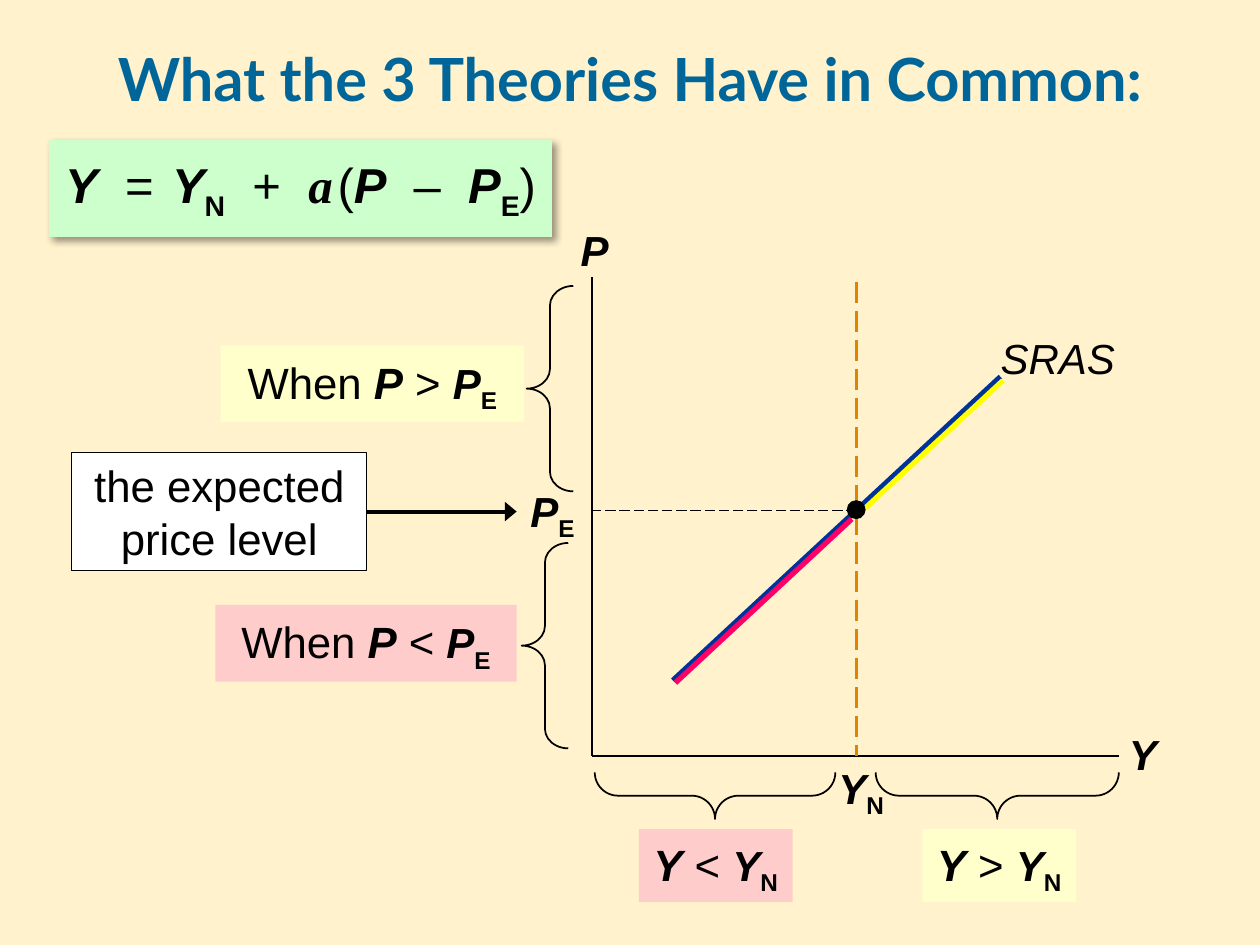
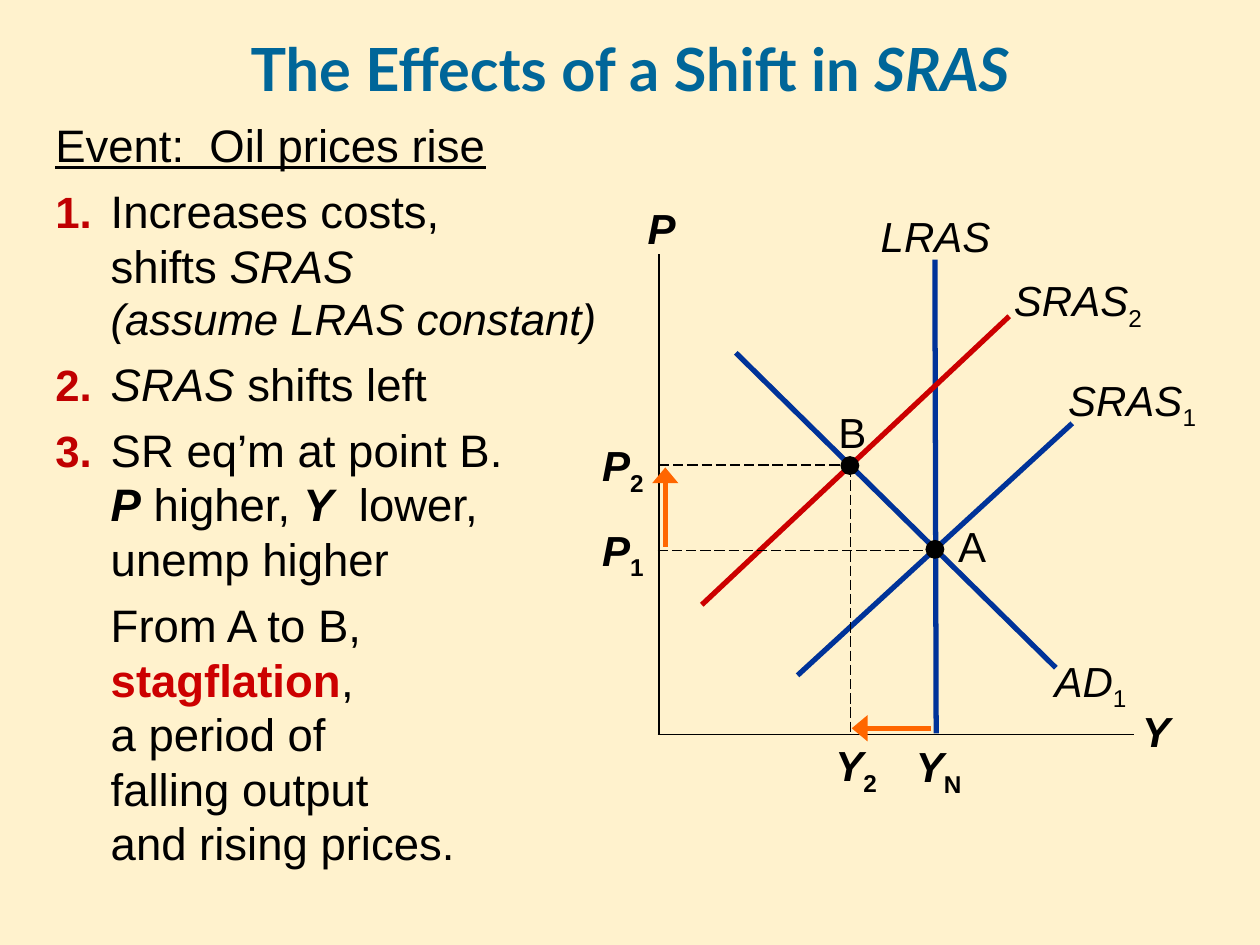
import lxml.etree
import pptx
import pptx.dml.color
import pptx.enum.dml
import pptx.enum.shapes
import pptx.enum.text
import pptx.oxml.ns
import pptx.util

COLORS = {
    "paper": "FFF2CD", "title": "006699", "ink": "000000", "white": "FFFFFF",
    "curve": "003399", "shifted": "CC0000", "number": "C00000", "natural": "DE8400",
    "above": "FFFFCC", "below": "FFCCCC", "above_line": "FFFF00", "below_line": "FF0066",
    "formula": "CCFFCC", "change": "FF6600",
}
STYLES = {
    "plain": {},
    "italic": {"italic": True},
    "aside": {"italic": True, "size": pptx.util.Pt(25)},
    "var": {"bold": True, "italic": True},
    "ref": {"bold": True, "italic": True, "size": pptx.util.Pt(24)},
    "sub": {"bold": True},
    "refsub": {"bold": True, "size": pptx.util.Pt(24)},
    "index": {},
    "wide": {},
    "narrow": {},
    "thin": {"size": pptx.util.Pt(10)},
    "slope": {"bold": True, "italic": True, "name": "Times New Roman"},
    "event": {"underline": True},
    "number": {"bold": True, "size": pptx.util.Pt(25)},
    "key": {"bold": True},
    "title": {"bold": True, "name": "Lato"},
    "title_italic": {"bold": True, "italic": True, "name": "Lato"},
}
STYLE_COLORS = {"number": "number", "key": "shifted", "title": "title", "title_italic": "title"}
RUN_ATTRIBUTES = {
    "sub": ("baseline", "-25000"), "refsub": ("baseline", "-25000"),
    "index": ("baseline", "-25000"), "wide": ("spc", "780"), "narrow": ("spc", "280"),
}
SHAPES = pptx.enum.shapes.MSO_SHAPE
ANCHOR = pptx.enum.text.MSO_ANCHOR
CENTER = pptx.enum.text.PP_ALIGN.CENTER

deck = pptx.Presentation()
deck.slide_width = pptx.util.Inches(10)
deck.slide_height = pptx.util.Inches(7.5)
CELL = deck.slide_width / 100


def grid(*cells):
    return [round(cell * CELL) for cell in cells]


def write(paragraph, runs, size, spacing=1.0):
    paragraph.line_spacing = spacing
    for text, style in runs:
        for row, part in enumerate(text.split("\n")):
            if row:
                paragraph.add_line_break()
            if not part:
                continue
            run = paragraph.add_run()
            run.text = part
            formats = {"name": "Arial", "size": pptx.util.Pt(size), "bold": False, "italic": False}
            for name, value in {**formats, **STYLES[style]}.items():
                setattr(run.font, name, value)
            color = COLORS[STYLE_COLORS.get(style, "ink")]
            run.font.color.rgb = pptx.dml.color.RGBColor.from_string(color)
            if style in RUN_ATTRIBUTES:
                run.font._element.set(*RUN_ATTRIBUTES[style])


theories = {
    "title": (2.6, [("What the 3 Theories Have in Common:", "title")]),
    "lines": [
        (47, 22, 47, 60, "ink", 1, ""),
        (47, 60, 88.8, 60, "ink", 1, ""),
        (53.4, 54, 79.4, 29.9, "curve", 3, ""),
        (68, 22.4, 68, 60, "natural", 1.5, "dash"),
        (68, 40.5, 47, 40.5, "ink", 0.75, "dash"),
        (27.6, 40.6, 41, 40.6, "ink", 2.25, "arrow"),
        (68.7, 40.3, 79.6, 30.2, "above_line", 3, ""),
        (53.6, 54.2, 67.6, 41.2, "below_line", 3, ""),
    ],
    "points": [(67.95, 40.45)],
    "braces": [
        (41.8, 22.7, 16.3, 0.42, 0),
        (41.4, 43.1, 16.3, 0.42, 0),
        (77.3, 53.5, 19.3, 0.5, 270),
        (54.9, 53.6, 19.1, 0.5, 270),
    ],
    "labels": [
        (44.9, 17.3, 4.6, 5, [("P", "var")]),
        (88.2, 57.3, 5, 5, [("Y", "var")]),
        (77.5, 25.9, 12.9, 5, [("SRAS", "italic")]),
        (65.7, 60.5, 5.3, 4, [("Y", "var"), ("N", "sub")]),
        (41.2, 38.5, 5.3, 4, [("P", "var"), ("E", "sub")]),
    ],
    "boxes": [
        (5.7, 35.9, 23.4, 9.4, "white", 25, 1, [("the expected price level", "plain")]),
        (3.9, 11.1, 39.9, 7.7, "formula", 28, 1, [
            ("Y", "var"), (" ", "wide"), ("=", "plain"), (" ", "narrow"),
            ("Y", "var"), ("N", "sub"), (" ", "wide"), ("+", "plain"), (" ", "wide"),
            ("a", "slope"), (" ", "thin"), ("(", "plain"),
            ("P", "var"), (" ", "wide"), ("–", "plain"), (" ", "wide"),
            ("P", "var"), ("E", "sub"), (")", "plain")]),
    ],
    "body": [],
}
for sign, fill, price_box, output_left in [
    (" > ", "above", (17.5, 27.4, 24.1, 6.1), 73.2),
    (" < ", "below", (17.1, 48, 23.9, 6.1), 50.7),
]:
    theories["boxes"] += [
        (*price_box, fill, 25, 1.05, [("When ", "plain"), ("P", "var"), (sign, "plain"),
                                      ("P", "ref"), ("E", "refsub")]),
        (output_left, 65.8, 12.2, 5.8, fill, 25, 1.05, [("Y", "var"), (sign, "plain"),
                                                        ("Y", "ref"), ("N", "refsub")]),
    ]

shift = {
    "title": (1.8, [("The Effects of a Shift in ", "title"), ("SRAS", "title_italic")]),
    "lines": [
        (74.2, 20.6, 74.3, 58.2, "curve", 3, ""),
        (52.3, 20.2, 52.3, 58.3, "ink", 1, ""),
        (52.2, 58.3, 90, 58.3, "ink", 1, ""),
        (58.4, 28, 83.8, 53, "curve", 3, ""),
        (63.3, 53.6, 85.1, 33.6, "curve", 3, ""),
        (55.7, 48, 80.1, 25.1, "shifted", 3, ""),
        (52.2, 43.7, 74.2, 43.7, "ink", 0.75, "dash"),
        (52.3, 36.9, 67.5, 36.9, "ink", 0.75, "dash"),
        (67.5, 37, 67.5, 58.3, "ink", 0.75, "dash"),
        (73.9, 57.8, 67.6, 57.8, "change", 3, "arrow"),
        (52.8, 43.4, 52.8, 37.1, "change", 3, "arrow"),
    ],
    "points": [(74.2, 43.6), (67.45, 36.95)],
    "braces": [],
    "labels": [
        (67.8, 16.2, 12.9, 5, [("LRAS", "italic")]),
        (71.6, 58.3, 5.8, 5, [("Y", "var"), ("N", "sub")]),
        (50.4, 15.6, 4.2, 5, [("P", "var")]),
        (89.5, 55.5, 4.5, 5, [("Y", "var")]),
        (82.5, 51.5, 8.1, 5, [("AD", "italic"), ("1", "index")]),
        (83.4, 29.2, 12.9, 5, [("SRAS", "italic"), ("1", "index")]),
        (79.1, 21.3, 12.9, 5, [("SRAS", "italic"), ("2", "index")]),
        (46.8, 41.6, 5.3, 4, [("P", "var"), ("1", "sub")]),
        (46.8, 34.9, 5.3, 4, [("P", "var"), ("2", "sub")]),
        (65.3, 58.7, 5.3, 4, [("Y", "var"), ("2", "sub")]),
        (75.4, 41.3, 3.5, 4, [("A", "plain")]),
        (65.9, 32.3, 3.5, 4, [("B", "plain")]),
    ],
    "boxes": [],
    "body": [
        [("Event:  Oil prices rise", "event")],
        [("1.\t", "number"), ("Increases costs,\nshifts ", "plain"), ("SRAS\n", "italic"),
         ("(assume LRAS constant)", "aside")],
        [("2.\t", "number"), ("SRAS", "italic"), (" shifts left", "plain")],
        [("3.\t", "number"), ("SR eq’m at point B.\n", "plain"), ("P", "var"),
         (" higher, ", "plain"), ("Y", "var"), ("  lower,\nunemp higher", "plain")],
        [("From A to B,\n", "plain"), ("stagflation", "key"),
         (",\na period of\nfalling output\nand rising prices.", "plain")],
    ],
}

paper = deck.slide_master.background.fill
paper.solid()
paper.fore_color.rgb = pptx.dml.color.RGBColor.from_string(COLORS["paper"])

for content in (theories, shift):
    slide = deck.slides.add_slide(deck.slide_layouts[5])
    heading = slide.shapes.title
    title_top, title_runs = content["title"]
    heading.left, heading.top, heading.width, heading.height = grid(0, title_top, 100, 7.1)
    heading.text_frame.auto_size = pptx.enum.text.MSO_AUTO_SIZE.NONE
    heading.text_frame.vertical_anchor = ANCHOR.MIDDLE
    heading.text_frame.paragraphs[0].alignment = CENTER
    write(heading.text_frame.paragraphs[0], title_runs, 34)

    for x1, y1, x2, y2, color, weight, look in content["lines"]:
        stroke = slide.shapes.add_connector(
            pptx.enum.shapes.MSO_CONNECTOR.STRAIGHT, *grid(x1, y1, x2, y2))
        stroke.line.color.rgb = pptx.dml.color.RGBColor.from_string(COLORS[color])
        stroke.line.width = pptx.util.Pt(weight)
        if look == "dash":
            stroke.line.dash_style = pptx.enum.dml.MSO_LINE.LONG_DASH
        if look == "arrow":
            lxml.etree.SubElement(stroke.line._ln, pptx.oxml.ns.qn("a:tailEnd"),
                                  type="triangle", w="lg", len="med")
        lxml.etree.SubElement(stroke._element.spPr, pptx.oxml.ns.qn("a:effectLst"))

    for x, y in content["points"]:
        point = slide.shapes.add_shape(SHAPES.OVAL, *grid(x - 0.75, y - 0.75, 1.5, 1.5))
        point.shadow.inherit = False
        point.fill.solid()
        point.fill.fore_color.rgb = pptx.dml.color.RGBColor.from_string(COLORS["ink"])
        point.line.fill.background()

    for left, top, length, curl, turn in content["braces"]:
        brace = slide.shapes.add_shape(SHAPES.LEFT_BRACE, *grid(left, top, 3.7, length))
        brace.shadow.inherit = False
        brace.adjustments[0] = curl
        brace.rotation = turn
        brace.fill.background()
        brace.line.color.rgb = pptx.dml.color.RGBColor.from_string(COLORS["ink"])
        brace.line.width = pptx.util.Pt(1)

    for left, top, width, height, color, size, spacing, runs in content["boxes"]:
        box = slide.shapes.add_shape(SHAPES.RECTANGLE, *grid(left, top, width, height))
        box.shadow.inherit = False
        box.fill.solid()
        box.fill.fore_color.rgb = pptx.dml.color.RGBColor.from_string(COLORS[color])
        box.line.fill.background()
        if color == "white":
            box.line.color.rgb = pptx.dml.color.RGBColor.from_string(COLORS["ink"])
            box.line.width = pptx.util.Pt(0.75)
        if color == "formula":
            effects = box._element.spPr.find(pptx.oxml.ns.qn("a:effectLst"))
            shade = lxml.etree.SubElement(
                effects, pptx.oxml.ns.qn("a:outerShdw"), blurRad=str(pptx.util.Pt(4)),
                dist=str(pptx.util.Pt(3)), dir="2700000", algn="tl", rotWithShape="0")
            tint = lxml.etree.SubElement(shade, pptx.oxml.ns.qn("a:srgbClr"), val=COLORS["ink"])
            lxml.etree.SubElement(tint, pptx.oxml.ns.qn("a:alpha"), val="40000")
        box.text_frame.word_wrap = True
        box.text_frame.vertical_anchor = ANCHOR.MIDDLE
        box.text_frame.paragraphs[0].alignment = CENTER
        write(box.text_frame.paragraphs[0], runs, size, spacing)

    for left, top, width, height, runs in content["labels"]:
        label = slide.shapes.add_textbox(*grid(left, top, width, height)).text_frame
        label.word_wrap = True
        for side in ("left", "top", "right", "bottom"):
            setattr(label, f"margin_{side}", grid((height - 4) / 2)[0])
        label.paragraphs[0].alignment = CENTER
        write(label.paragraphs[0], runs, 24)

    if content["body"]:
        steps = slide.shapes.add_textbox(*grid(3.4, 8.8, 46.1, 61.8)).text_frame
        steps.word_wrap = True
        for order, runs in enumerate(content["body"]):
            step = steps.add_paragraph() if order else steps.paragraphs[0]
            if order:
                step.space_before = pptx.util.Pt(6.5)
                hanging = runs[0][1] == "number"
                indents = {"marL": grid(4.4)[0], "indent": grid(-4.4 if hanging else 0)[0]}
                for name, value in indents.items():
                    step._p.get_or_add_pPr().set(name, str(value))
            write(step, runs, 26)

deck.save("out.pptx")
